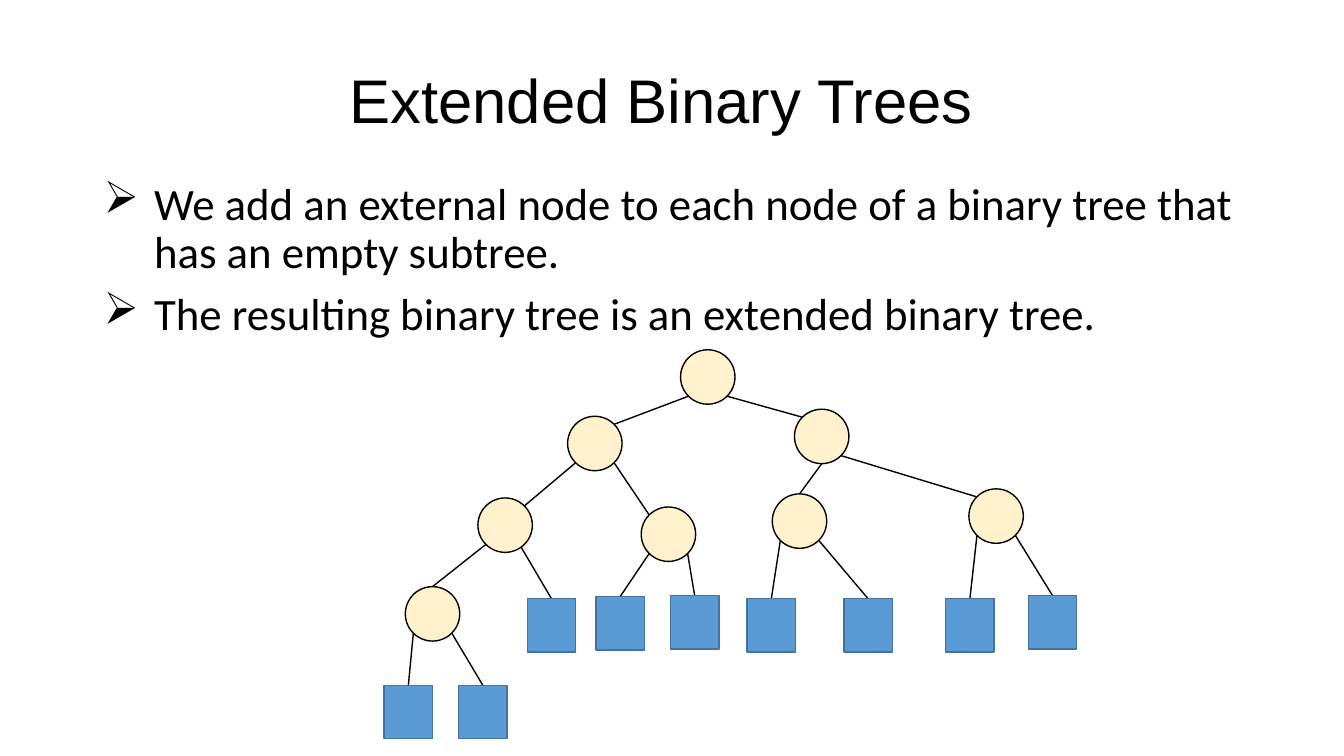
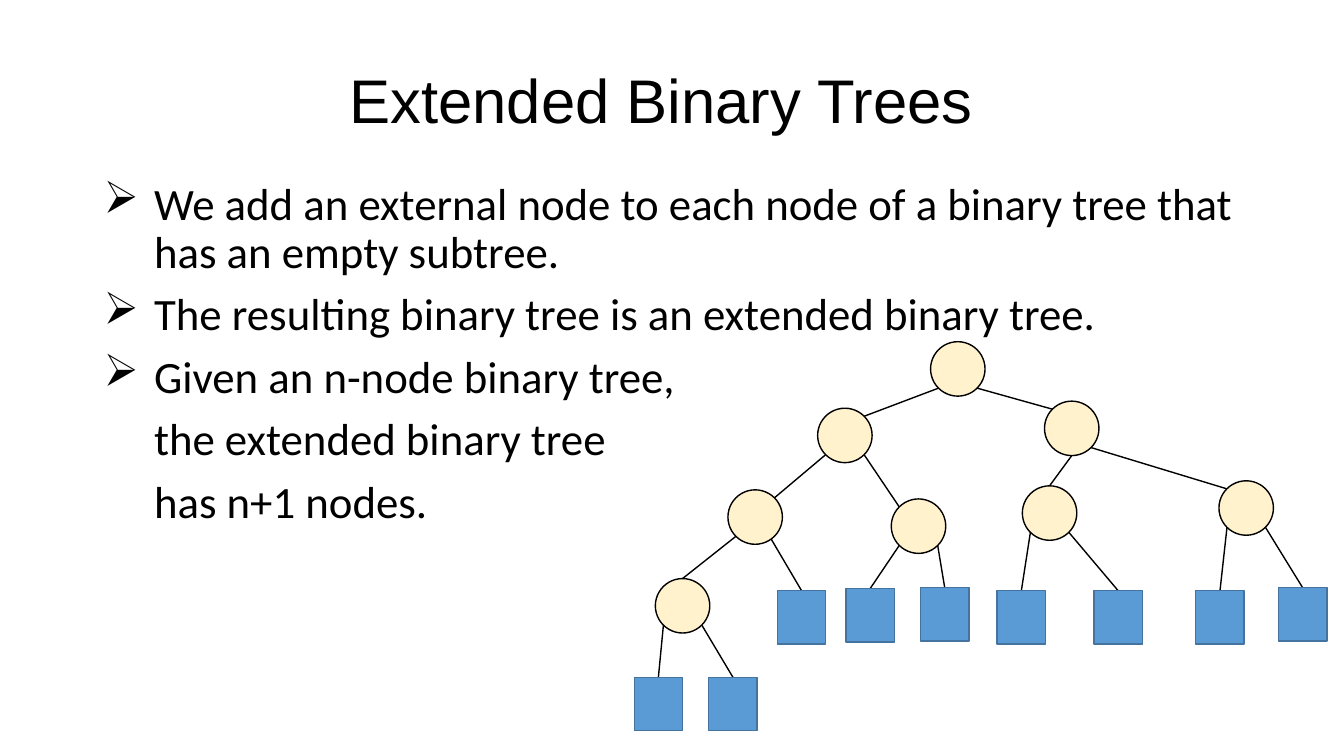
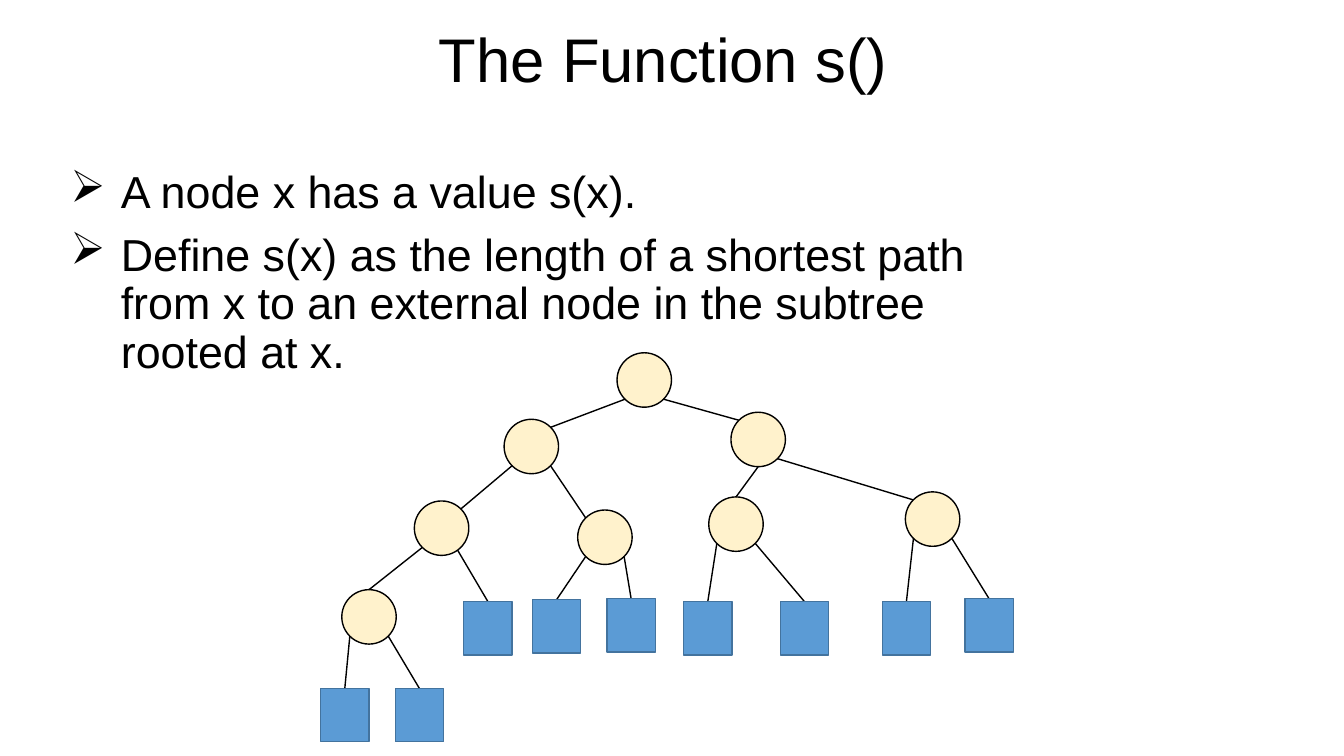
"""Builds three slides on extended binary trees."""
import pptx
import pptx.dml.color
import pptx.enum.shapes
import pptx.enum.text
import pptx.oxml.ns
import pptx.util
from lxml import etree

Inches = pptx.util.Inches
Pt = pptx.util.Pt
RGBColor = pptx.dml.color.RGBColor
Preset = pptx.enum.shapes.MSO_SHAPE

BLACK = RGBColor(0x00, 0x00, 0x00)
CREAM = RGBColor(0xFF, 0xF2, 0xCC)
BLUE = RGBColor(0x5B, 0x9B, 0xD5)
DARK_BLUE = RGBColor(0x43, 0x73, 0x9E)

NODE_SIZE = (0.54, 0.54)
EXTERNAL_SIZE = (0.48, 0.53)
TITLE_SIZE = (8.5, 1.25)

EXTENDED_LINES = [
    ("We add an external node to each node of a binary tree that has an empty subtree.", True),
    ("The resulting binary tree is an extended binary tree.", True),
]
COUNT_LINES = [
    ("Given an n-node binary tree,", True),
    ("the extended binary tree", False),
    ("has n+1 nodes.", False),
]
FUNCTION_LINES = [
    ("A node x has a value s(x).", True),
    ("Define s(x) as the length of a shortest path from x to an external node "
     "in the subtree rooted at x.", True),
]

SLIDES = [
    {"title": "Extended Binary Trees", "title_at": (2.31, 0.4), "body": EXTENDED_LINES,
     "body_box": (0.93, 1.75, 11.7, 4), "font": "Calibri", "root": (6.75, 3.47)},
    {"title": "Extended Binary Trees", "title_at": (2.31, 0.4), "body": EXTENDED_LINES + COUNT_LINES,
     "body_box": (0.93, 1.75, 11.7, 4), "font": "Calibri", "root": (9.23, 3.39)},
    {"title": "The Function s()", "title_at": (2.33, 0), "body": FUNCTION_LINES,
     "body_box": (0.6, 1.64, 9.42, 4.67), "font": "Arial", "root": (6.12, 3.5)},
]

NODES = {
    "root": (0, 0),
    "L": (-1.12, 0.66), "R": (1.13, 0.59),
    "LL": (-2.01, 1.47), "LR": (-0.39, 1.56), "RL": (0.91, 1.43), "RR": (2.86, 1.38),
    "LLL": (-2.73, 2.35),
}
ANCHORS = {
    "top": (0.27, 0), "top left": (0.08, 0.08), "top right": (0.46, 0.08),
    "bottom": (0.27, 0.54), "bottom left": (0.08, 0.46), "bottom right": (0.46, 0.46),
    "lower right": (0.43, 0.49),
}
EDGES = [
    ("root", "bottom left", "L", "top right"),
    ("root", "bottom right", "R", "top left"),
    ("L", "bottom left", "LL", "top right"),
    ("L", "bottom right", "LR", "top left"),
    ("R", "bottom", "RL", "top"),
    ("R", "bottom right", "RR", "top left"),
    ("LL", "bottom left", "LLL", "top"),
]
EXTERNALS = [
    ("LLL", "bottom left", (-2.94, 3.33)),
    ("LLL", "bottom right", (-2.2, 3.33)),
    ("LL", "lower right", (-1.52, 2.47)),
    ("LR", "bottom left", (-0.84, 2.45)),
    ("LR", "bottom right", (-0.1, 2.44)),
    ("RL", "bottom left", (0.66, 2.47)),
    ("RL", "bottom right", (1.62, 2.47)),
    ("RR", "bottom left", (2.63, 2.47)),
    ("RR", "bottom right", (3.45, 2.44)),
]


def shift(*points):
    return tuple(sum(values) for values in zip(*points))


def add_text(slide, lines, box, font, size, align=None, anchor=None, indent=0, before=0):
    frame = slide.shapes.add_textbox(*map(Inches, box)).text_frame
    frame.word_wrap = True
    frame.vertical_anchor = anchor
    for index, (text, bulleted) in enumerate(lines):
        paragraph = frame.paragraphs[0] if index == 0 else frame.add_paragraph()
        paragraph.alignment = align
        paragraph.line_spacing = 0.9
        paragraph.space_before = Pt(before)
        run = paragraph.add_run()
        run.text = text
        run.font.name = font
        run.font.size = Pt(size)
        run.font.color.rgb = BLACK
        properties = paragraph._p.get_or_add_pPr()
        properties.set("marL", str(Inches(indent)))
        if bulleted:
            properties.set("indent", str(-Inches(indent)))
            bullet = etree.SubElement(properties, pptx.oxml.ns.qn("a:buChar"))
            bullet.set("char", "\u27a2")


def add_block(slide, preset, position, size, fill, line):
    shape = slide.shapes.add_shape(preset, *map(Inches, position + size))
    shape.shadow.inherit = False
    shape.fill.solid()
    shape.fill.fore_color.rgb = fill
    shape.line.color.rgb = line
    shape.line.width = Pt(1)


def add_edge(slide, start, end):
    connector = slide.shapes.add_connector(
        pptx.enum.shapes.MSO_CONNECTOR.STRAIGHT, *map(Inches, start + end))
    connector.line.color.rgb = BLACK
    connector.line.width = Pt(1)
    etree.SubElement(connector._element.spPr, pptx.oxml.ns.qn("a:effectLst"))


def add_tree(slide, root):
    nodes = {name: shift(root, offset) for name, offset in NODES.items()}
    for position in nodes.values():
        add_block(slide, Preset.OVAL, position, NODE_SIZE, CREAM, BLACK)
    for parent, leaving, child, entering in EDGES:
        add_edge(slide, shift(nodes[parent], ANCHORS[leaving]),
                 shift(nodes[child], ANCHORS[entering]))
    for parent, leaving, offset in EXTERNALS:
        position = shift(root, offset)
        add_edge(slide, shift(nodes[parent], ANCHORS[leaving]),
                 shift(position, (EXTERNAL_SIZE[0] / 2, 0)))
        add_block(slide, Preset.RECTANGLE, position, EXTERNAL_SIZE, BLUE, DARK_BLUE)


presentation = pptx.Presentation()
presentation.slide_width = Inches(13.33)
presentation.slide_height = Inches(7.5)
for content in SLIDES:
    slide = presentation.slides.add_slide(presentation.slide_layouts[6])
    add_text(slide, [(content["title"], False)], content["title_at"] + TITLE_SIZE, "Arial", 44,
             align=pptx.enum.text.PP_ALIGN.CENTER, anchor=pptx.enum.text.MSO_ANCHOR.MIDDLE)
    add_text(slide, content["body"], content["body_box"], content["font"], 32,
             indent=0.5, before=10)
    add_tree(slide, content["root"])
presentation.save("out.pptx")
